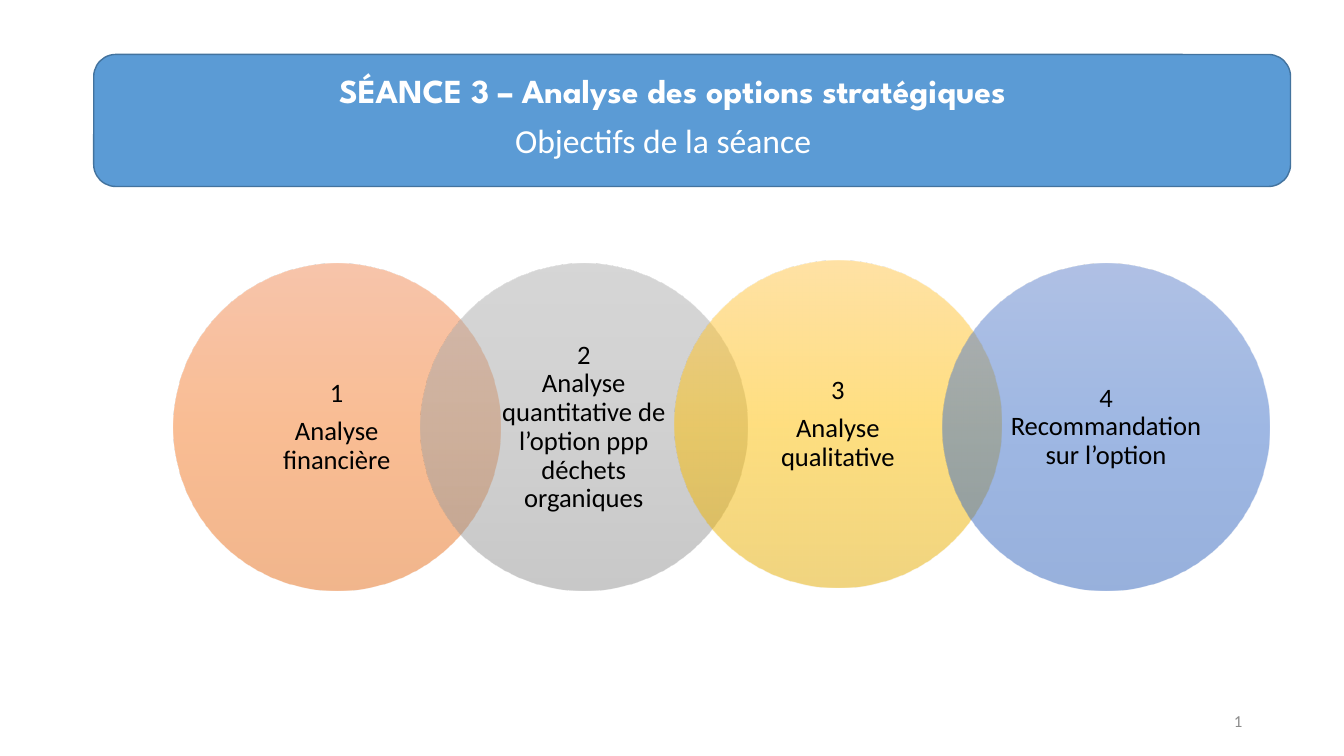
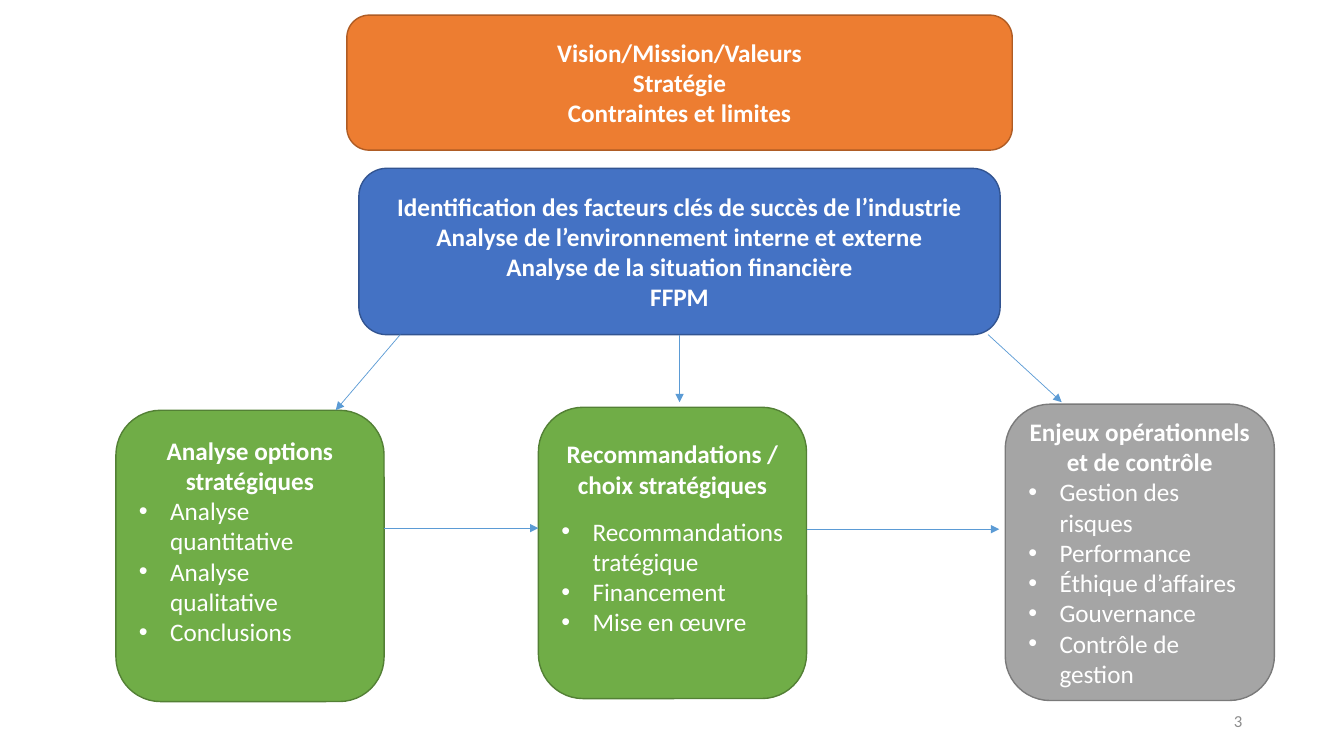
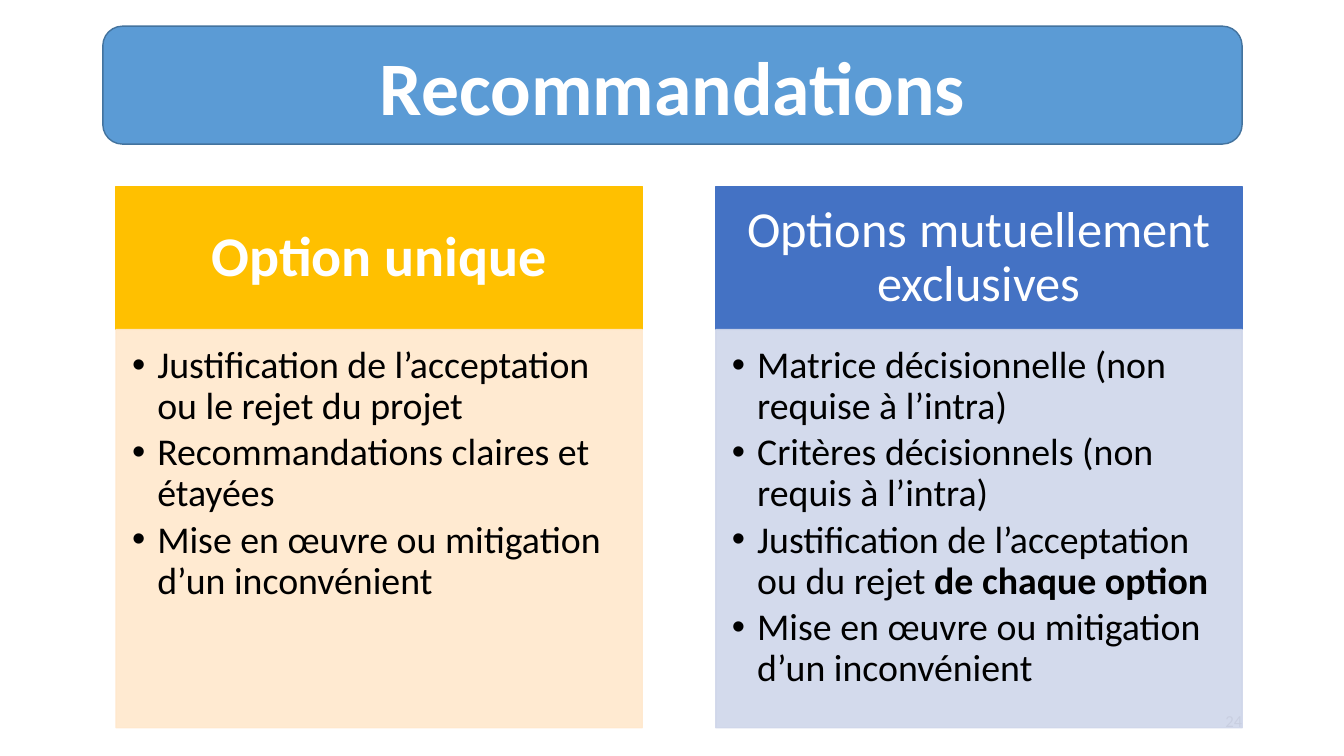
from lxml import etree
from pptx import Presentation
from pptx.dml.color import RGBColor
from pptx.enum.shapes import MSO_CONNECTOR, MSO_SHAPE
from pptx.enum.text import MSO_ANCHOR, PP_ALIGN
from pptx.oxml.ns import qn
from pptx.util import Pt

PX = 9144  # EMU per px, 100 px to the inch
BLANK_LAYOUT = 6
ROUNDED, RECTANGLE, ELLIPSE = MSO_SHAPE.ROUNDED_RECTANGLE, MSO_SHAPE.RECTANGLE, MSO_SHAPE.OVAL
STRAIGHT = MSO_CONNECTOR.STRAIGHT
LEFT, CENTER, RIGHT = PP_ALIGN.LEFT, PP_ALIGN.CENTER, PP_ALIGN.RIGHT
TOP, MIDDLE = MSO_ANCHOR.TOP, MSO_ANCHOR.MIDDLE
BOTTOM_SIDE = 2

BODY_FONT, TITLE_FONT = "Calibri", "League Spartan"
COLORS = {
    "white": "FFFFFF", "black": "000000", "number": "8C8C8C",
    "banner": "5B9BD5", "banner_edge": "43739E",
    "orange": "ED7D31", "orange_edge": "AF5C24",
    "blue": "4472C4", "blue_edge": "325491",
    "green": "70AD47", "green_edge": "538035",
    "gray": "A5A5A5", "gray_edge": "7A7A7A",
    "gold": "FFC000", "pale_gold": "FFE8CC", "pale_blue": "CFD6EA",
}
GRADIENTS = {
    "orange": ("F18C57", "F67B28", "E56C19"),
    "gray": ("AFAFAF", "A5A5A5", "939393"),
    "gold": ("FFC64B", "FFC000", "E3AB00"),
    "blue": ("6183CB", "3E70CA", "3062BB"),
}


def rgb(name):
    return RGBColor.from_string(COLORS[name])


def set_alpha(color_element, percent):
    etree.SubElement(color_element, qn("a:alpha"), val=str(percent * 1000))


class Deck:
    def __init__(self):
        self.prs = Presentation()
        self.prs.slide_width, self.prs.slide_height = 1333 * PX, 750 * PX
        self.slide = None

    def new_slide(self, number):
        self.slide = self.prs.slides.add_slide(self.prs.slide_layouts[BLANK_LAYOUT])
        frame = self.text_box((942, 695, 300, 40), anchor=MIDDLE)
        self.add_lines(frame, [number], 12, "number", align=RIGHT)

    def frame(self, shape, anchor, insets):
        frame = shape.text_frame
        frame.word_wrap = True
        frame.vertical_anchor = anchor
        (frame.margin_left, frame.margin_top,
         frame.margin_right, frame.margin_bottom) = (inset * PX for inset in insets)
        return frame

    def text_box(self, box, anchor=TOP):
        shape = self.slide.shapes.add_textbox(*(v * PX for v in box))
        return self.frame(shape, anchor, (10, 5, 10, 5))

    def shape(self, kind, box, fill, edge=None, alpha=None, anchor=MIDDLE,
              insets=(10, 5, 10, 5)):
        """Add a filled shape; without an edge colour it has no outline."""
        shape = self.slide.shapes.add_shape(kind, *(v * PX for v in box))
        shape.shadow.inherit = False
        shape.fill.solid()
        shape.fill.fore_color.rgb = rgb(fill)
        if edge:
            shape.line.color.rgb = rgb(edge)
            shape.line.width = Pt(1)
        else:
            shape.line.fill.background()
        if alpha:
            for color in shape._element.spPr.iter(qn("a:srgbClr")):
                set_alpha(color, alpha)
        self.frame(shape, anchor, insets)
        return shape

    def circle(self, left, top, gradient):
        """Half-transparent circle, shaded from top to bottom."""
        circle = self.shape(ELLIPSE, (left, top, 324, 324), gradient, insets=(18, 3, 18, 3))
        circle.fill.gradient()
        circle.fill.gradient_angle = 270
        stops = circle._element.spPr.find(qn("a:gradFill")).find(qn("a:gsLst"))
        for old_stop in list(stops):
            stops.remove(old_stop)
        for position, value in zip((0, 50000, 100000), GRADIENTS[gradient]):
            stop = etree.SubElement(stops, qn("a:gs"), pos=str(position))
            set_alpha(etree.SubElement(stop, qn("a:srgbClr"), val=value), 50)
        return circle.text_frame

    def banner(self, box):
        return self.shape(ROUNDED, box, "banner", "banner_edge").text_frame

    def add_lines(self, frame, lines, size, color="white", bold=False, align=CENTER,
                  font=BODY_FONT, spacing=None, gap=0, indent=0):
        """Add paragraphs; a (plain, strong) pair ends in bold, an indent adds bullets."""
        for line in lines:
            first = not frame.paragraphs[0].runs
            paragraph = frame.paragraphs[0] if first else frame.add_paragraph()
            paragraph.alignment = align
            if spacing:
                paragraph.line_spacing = spacing
            if gap and not first:
                paragraph.space_before = Pt(gap)
            if indent:
                properties = paragraph._p.get_or_add_pPr()
                properties.set("marL", str(indent * PX))
                properties.set("indent", str(-indent * PX))
                etree.SubElement(properties, qn("a:buFont"), typeface="Arial")
                etree.SubElement(properties, qn("a:buChar"), char="•")
            style = paragraph.font
            style.name, style.size, style.color.rgb = font, Pt(size), rgb(color)
            if isinstance(line, tuple):
                for part, strong in zip(line, (False, True)):
                    run = paragraph.add_run()
                    run.text, run.font.bold = part, strong
            else:
                style.bold = bold
                paragraph.text = line

    def arrow(self, x1, y1, x2, y2, source=None):
        """Arrow between two points, joined to the bottom of source if given."""
        arrow = self.slide.shapes.add_connector(
            STRAIGHT, x1 * PX, y1 * PX, x2 * PX, y2 * PX)
        if source is not None:
            arrow.begin_connect(source, BOTTOM_SIDE)
        arrow.line.color.rgb = rgb("banner")
        arrow.line.width = Pt(0.5)
        properties = arrow._element.spPr
        etree.SubElement(properties.find(qn("a:ln")), qn("a:tailEnd"), type="triangle")
        etree.SubElement(properties, qn("a:effectLst"))


def objectives(deck):
    deck.new_slide("1")
    deck.banner((93, 54, 1187, 131))
    title = deck.text_box((293, 64, 748, 50))
    deck.add_lines(title, ["SÉANCE 3 – Analyse des options stratégiques"], 24,
                   bold=True, font=TITLE_FONT)
    subtitle = deck.text_box((501, 114, 332, 50))
    deck.add_lines(subtitle, ["Objectifs de la séance"], 24, align=LEFT)

    # Overlapping steps
    steps = [
        (172, 262, "orange", ["1", "Analyse financière"]),
        (417, 262, "gray", ["2\vAnalyse quantitative de l’option ppp déchets organiques"]),
        (669, 259, "gold", ["3", "Analyse qualitative"]),
        (935, 262, "blue", ["4\vRecommandation sur l’option"]),
    ]
    for left, top, gradient, lines in steps:
        deck.add_lines(deck.circle(left, top, gradient), lines, 19, "black",
                       spacing=0.9, gap=6.65)


def process(deck):
    deck.new_slide("3")

    # Starting point and diagnosis
    diagnosis = deck.shape(ROUNDED, (356, 167, 636, 165), "blue", "blue_edge")
    deck.add_lines(diagnosis.text_frame, [
        "Identification des facteurs clés de succès de l’industrie",
        "Analyse de l’environnement interne et externe",
        "Analyse de la situation financière",
        "FFPM",
    ], 18, bold=True)
    vision = deck.shape(ROUNDED, (344, 15, 660, 134), "orange", "orange_edge")
    deck.add_lines(vision.text_frame, [
        "Vision/Mission/Valeurs", "Stratégie", "Contraintes et limites",
    ], 18, bold=True)

    # Stages: box, colour, bottom inset, space under the heading, heading, points
    stages = [
        ((115, 407, 266, 289), "green", 35, 0, "Analyse options stratégiques",
         ["Analyse quantitative", "Analyse qualitative", "Conclusions"]),
        ((534, 404, 266, 289), "green", 35, 12, "Recommandations / choix stratégiques",
         ["Recommandationstratégique", "Financement", "Mise en œuvre"]),
        ((997, 401, 267, 294), "gray", 5, 0, "Enjeux opérationnels et de contrôle",
         ["Gestion des risques", "Performance", "Éthique d’affaires", "Gouvernance",
          "Contrôle de gestion"]),
    ]
    for box, color, bottom, space, heading, points in stages:
        stage = deck.shape(ROUNDED, box, color, color + "_edge", insets=(10, 5, 10, bottom))
        frame = stage.text_frame
        deck.add_lines(frame, [heading], 18, bold=True)
        frame.paragraphs[0].space_after = Pt(space)
        deck.add_lines(frame, points, 18, align=LEFT, indent=31)

    # Arrows from the diagnosis, then between stages
    deck.arrow(397, 332, 333, 407)
    deck.arrow(674, 332, 674, 399, source=diagnosis)
    deck.arrow(980, 332, 1053, 399)
    deck.arrow(381, 524, 534, 524)
    deck.arrow(800, 525, 991, 525)


def recommendations(deck):
    deck.new_slide("24")
    deck.add_lines(deck.banner((102, 26, 1130, 117)), ["Recommandations"], 54, bold=True)

    # Columns: left, colours, heading, its size, weight and insets, points
    columns = [
        (115, "gold", "pale_gold", "Option unique", 40, True, (31, 18, 31, 18),
         ["Justification de l’acceptation ou le rejet du projet",
          "Recommandations claires et étayées",
          "Mise en œuvre ou mitigation d’un inconvénient"]),
        (710, "blue", "pale_blue", "Options mutuellement exclusives", 36, False,
         (28, 16, 28, 16),
         ["Matrice décisionnelle (non requise à l’intra)",
          "Critères décisionnels (non requis à l’intra)",
          ("Justification de l’acceptation ou du rejet ", "de chaque option"),
          "Mise en œuvre ou mitigation d’un inconvénient"]),
    ]
    for left, color, pale, heading, size, bold, insets, points in columns:
        header = deck.shape(RECTANGLE, (left, 185, 522, 142), color, color, insets=insets)
        deck.add_lines(header.text_frame, [heading], size, bold=bold, spacing=0.9)
        body = deck.shape(RECTANGLE, (left, 327, 522, 395), pale, pale, alpha=90,
                          anchor=TOP, insets=(16, 16, 21, 24))
        deck.add_lines(body.text_frame, points, 27, "black", align=LEFT,
                       spacing=0.9, gap=4, indent=25)


def main():
    deck = Deck()
    objectives(deck)
    process(deck)
    recommendations(deck)
    deck.prs.save("out.pptx")


if __name__ == "__main__":
    main()
